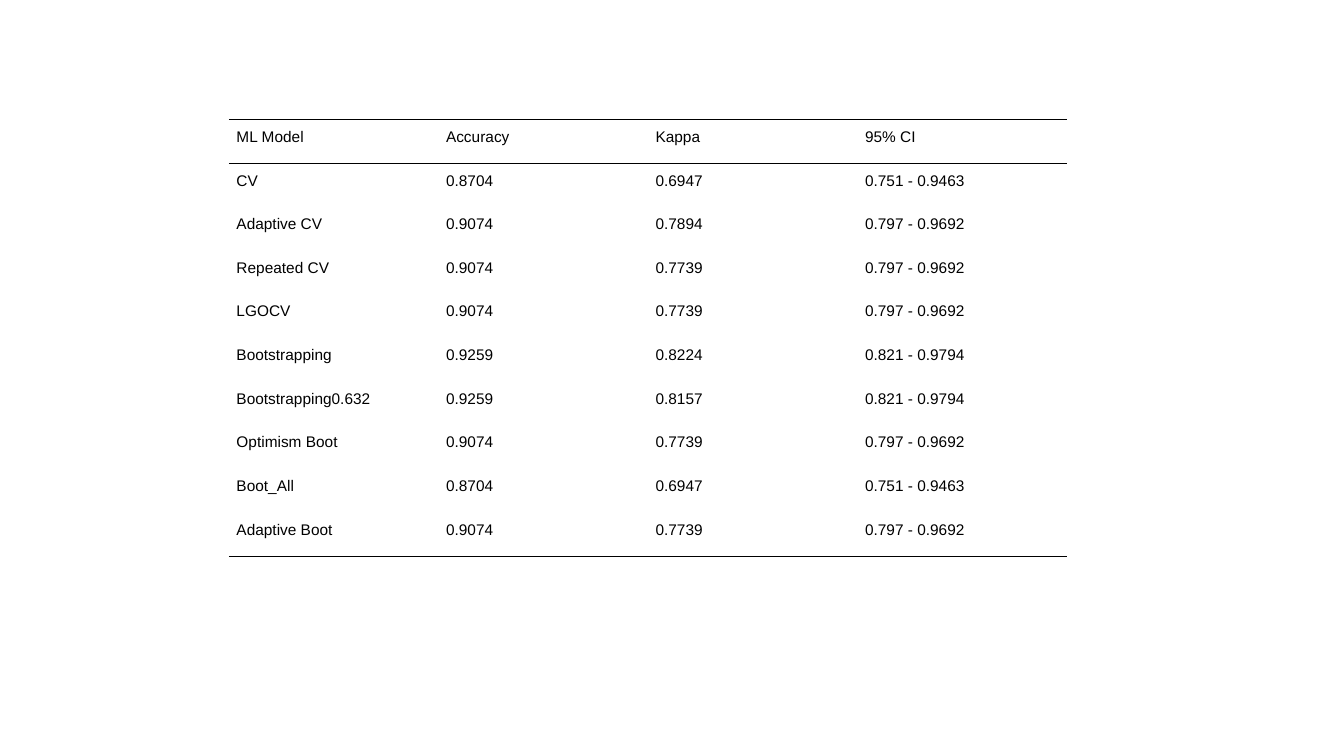
"""Build a slide with a table comparing resampling methods by accuracy, kappa and confidence interval."""
from lxml import etree
from pptx import Presentation
from pptx import util as u
from pptx.dml.color import RGBColor
from pptx.enum import text
from pptx.oxml.ns import qn

HEADINGS = ("ML Model", "Accuracy", "Kappa", "95% CI")
RESULTS = [
    ("CV", "0.8704", "0.6947", "0.751 - 0.9463"),
    ("Adaptive CV", "0.9074", "0.7894", "0.797 - 0.9692"),
    ("Repeated CV", "0.9074", "0.7739", "0.797 - 0.9692"),
    ("LGOCV", "0.9074", "0.7739", "0.797 - 0.9692"),
    ("Bootstrapping", "0.9259", "0.8224", "0.821 - 0.9794"),
    ("Bootstrapping0.632", "0.9259", "0.8157", "0.821 - 0.9794"),
    ("Optimism Boot", "0.9074", "0.7739", "0.797 - 0.9692"),
    ("Boot_All", "0.8704", "0.6947", "0.751 - 0.9463"),
    ("Adaptive Boot", "0.9074", "0.7739", "0.797 - 0.9692"),
]
BLACK = RGBColor(0, 0, 0)
LEFT, TOP = u.Cm(5.77), u.Cm(3.02)
COLUMN_WIDTH, ROW_HEIGHT = u.Cm(5.28), u.Cm(1.1)
SIDE_MARGIN = u.Cm(0.19)
RULE_WIDTH = u.Pt(1)


def write(cell, wording, size=11, font="Arial", color=BLACK, spacing=1.5):
    cell.margin_left = cell.margin_right = SIDE_MARGIN
    cell.margin_top = cell.margin_bottom = 0
    cell.vertical_anchor = text.MSO_ANCHOR.TOP
    paragraph = cell.text_frame.paragraphs[0]
    paragraph.alignment = text.PP_ALIGN.JUSTIFY
    paragraph.line_spacing = spacing
    run = paragraph.add_run()
    run.text = wording
    run.font.size = u.Pt(size)
    run.font.name = font
    run.font.color.rgb = color


def set_borders(cell, ruled_sides):
    properties = cell._tc.get_or_add_tcPr()
    for side in "LRTB":
        border = etree.SubElement(properties, qn(f"a:ln{side}"))
        if side in ruled_sides:
            border.set("w", str(RULE_WIDTH))
            fill = etree.SubElement(border, qn("a:solidFill"))
            etree.SubElement(fill, qn("a:srgbClr"), val=str(BLACK))
        else:
            etree.SubElement(border, qn("a:noFill"))


def main():
    presentation = Presentation()
    presentation.slide_width, presentation.slide_height = u.Cm(33.87), u.Cm(19.05)
    slide = presentation.slides.add_slide(presentation.slide_layouts[6])

    rows = [HEADINGS, *RESULTS]
    ruled_edges = {0, 1, len(rows)}
    comparison = slide.shapes.add_table(
        len(rows), len(HEADINGS), LEFT, TOP,
        COLUMN_WIDTH * len(HEADINGS), ROW_HEIGHT * len(rows),
    ).table
    comparison.first_row = comparison.horz_banding = False
    for column in comparison.columns:
        column.width = COLUMN_WIDTH

    for r, row in enumerate(rows):
        comparison.rows[r].height = ROW_HEIGHT
        ruled_sides = [side for side, edge in (("T", r), ("B", r + 1)) if edge in ruled_edges]
        for c, wording in enumerate(row):
            cell = comparison.cell(r, c)
            write(cell, wording)
            set_borders(cell, ruled_sides)
            cell.fill.background()

    presentation.save("out.pptx")


if __name__ == "__main__":
    main()
